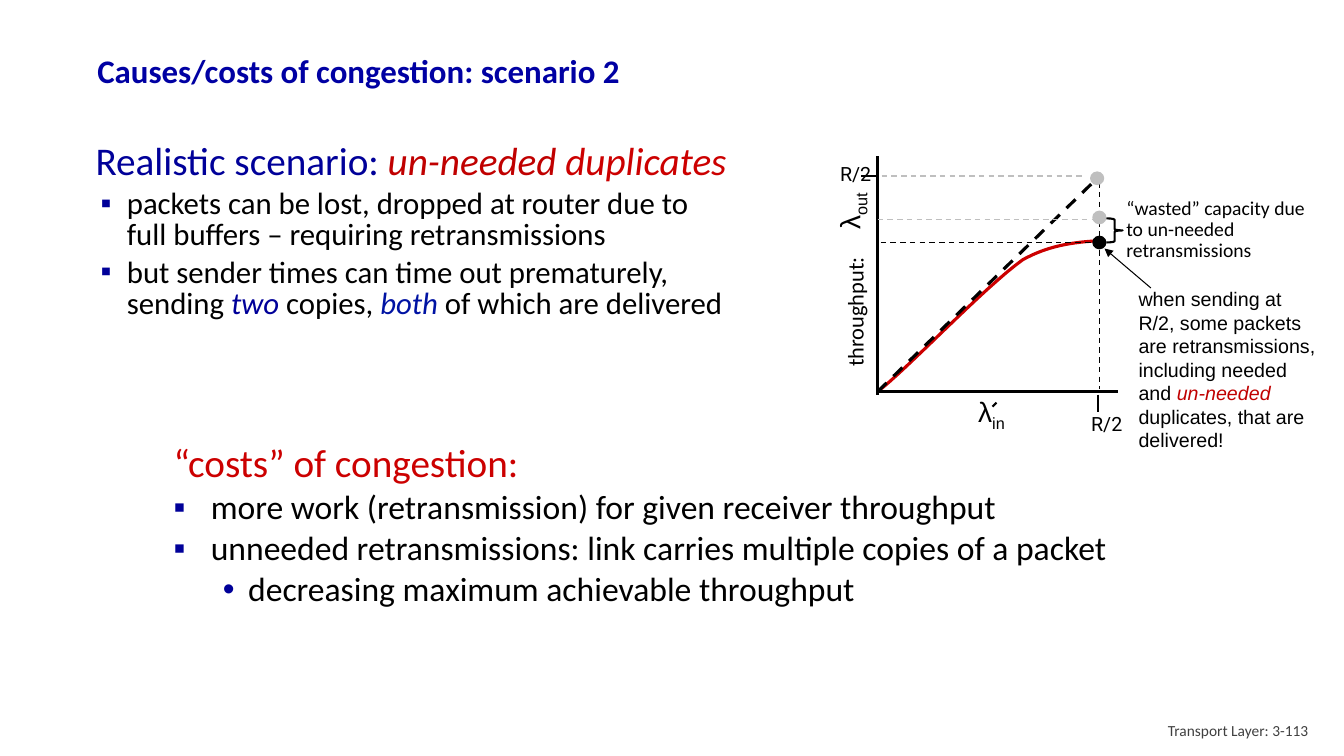
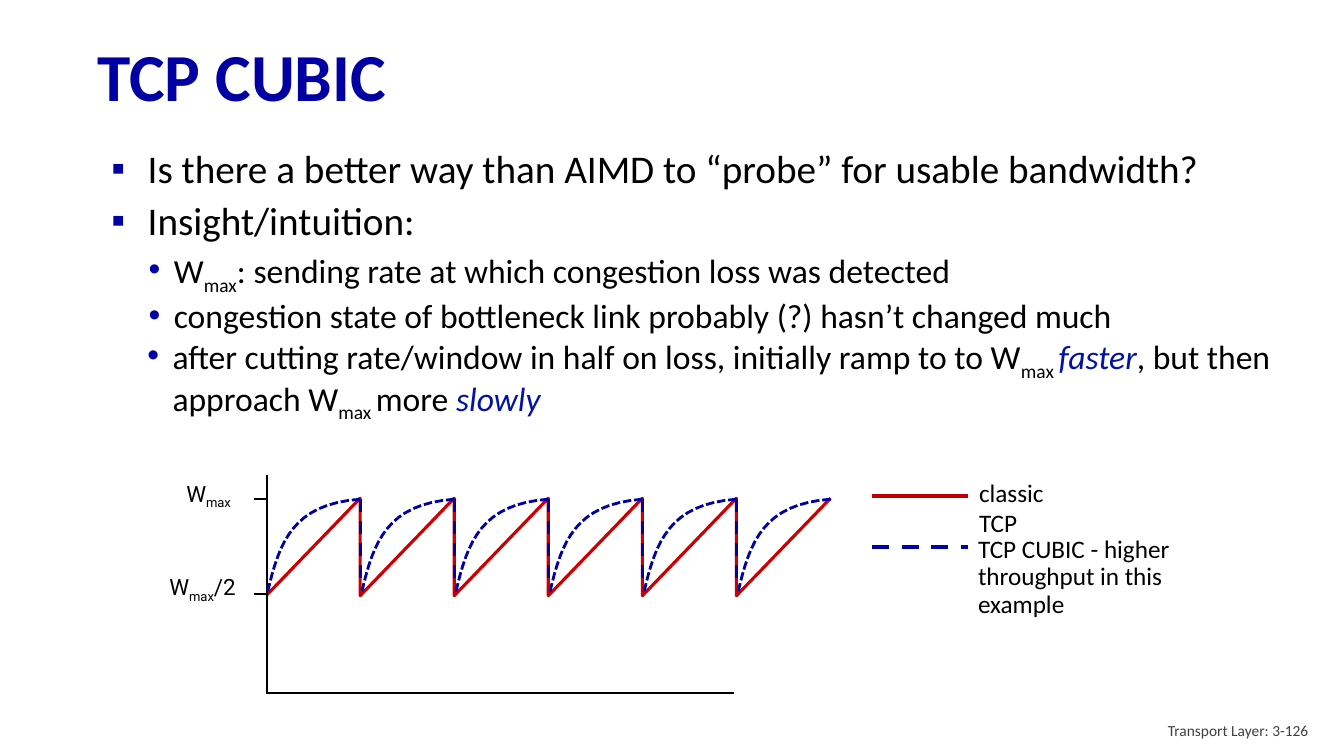
from dataclasses import dataclass

from lxml import etree
from pptx import Presentation
from pptx import util as u
from pptx.dml.color import RGBColor
from pptx.enum import dml, shapes, text
from pptx.oxml.ns import qn

TITLE_BLUE = RGBColor(0x00, 0x00, 0xA3)
HEADING_BLUE = RGBColor(0x00, 0x00, 0x99)
BULLET_BLUE = RGBColor(0x00, 0x00, 0xA8)
ACCENT_BLUE = RGBColor(0x00, 0x13, 0xA3)
RED = RGBColor(0xCC, 0x00, 0x00)
DARK_RED = RGBColor(0xC0, 0x00, 0x00)
BLACK = RGBColor(0x00, 0x00, 0x00)
GREY = RGBColor(0xBF, 0xBF, 0xBF)
FOOTER_GREY = RGBColor(0x40, 0x40, 0x40)
DASH = dml.MSO_LINE.DASH
SHORT_DASH = dml.MSO_LINE.SQUARE_DOT
SUB = {"sub": True}


@dataclass
class Box:
    """A region in inches; its portions are given in percent of its size."""
    left: float
    top: float
    width: float
    height: float

    def at(self, x, y):
        return (u.Inches(self.left + self.width * x / 100),
                u.Inches(self.top + self.height * y / 100))

    def portion(self, x, y, w, h):
        return Box(self.left + self.width * x / 100, self.top + self.height * y / 100,
                   self.width * w / 100, self.height * h / 100)

    def emu(self):
        return [u.Inches(v) for v in (self.left, self.top, self.width, self.height)]


PAGE = Box(0, 0, 13.33, 7.5)


# Text
def para(*runs, bullet=None, bullet_color=HEADING_BLUE, indent=None, level=0,
         before=0, **style):
    """A paragraph: each run is a string or a pair of string and format."""
    return dict(runs=runs, bullet=bullet, bullet_color=bullet_color, indent=indent,
                level=level, before=before, style=style)


def format_run(run, size, font="Calibri", color=BLACK, bold=False, italic=False, sub=False):
    run.font.size = u.Pt(size)
    run.font.name = font
    run.font.color.rgb = color
    run.font.bold = bold
    run.font.italic = italic
    if sub:
        run._r.get_or_add_rPr().set("baseline", "-25000")


def add_bullet(paragraph, char, color):
    props = paragraph._p.get_or_add_pPr()
    bullet_color = etree.SubElement(props, qn("a:buClr"))
    etree.SubElement(bullet_color, qn("a:srgbClr"), val=str(color))
    etree.SubElement(props, qn("a:buFont"), typeface="Arial")
    etree.SubElement(props, qn("a:buChar"), char=char)


def write(slide, box, *paras, spacing=1.0, wrap=True, grow=False, rotation=0,
          anchor=text.MSO_ANCHOR.TOP, align=text.PP_ALIGN.LEFT, **style):
    holder = slide.shapes.add_textbox(*box.emu())
    holder.rotation = rotation
    frame = holder.text_frame
    frame.word_wrap = wrap
    frame.vertical_anchor = anchor
    if grow:
        frame.auto_size = text.MSO_AUTO_SIZE.SHAPE_TO_FIT_TEXT
    for i, item in enumerate(paras):
        paragraph = frame.paragraphs[0] if i == 0 else frame.add_paragraph()
        paragraph.alignment = align
        paragraph.level = item["level"]
        paragraph.line_spacing = spacing
        paragraph.space_before = u.Pt(item["before"] if i else 0)
        if item["indent"]:
            margin, hanging = item["indent"]
            props = paragraph._p.get_or_add_pPr()
            props.set("marL", str(u.Inches(margin)))
            props.set("indent", str(u.Inches(hanging)))
        if item["bullet"]:
            add_bullet(paragraph, item["bullet"], item["bullet_color"])
        for piece in item["runs"]:
            words, extra = (piece, {}) if isinstance(piece, str) else piece
            run = paragraph.add_run()
            run.text = words
            format_run(run, **{**style, **item["style"], **extra})


# Lines and marks
def style_line(line, color, width, dash=None):
    line.color.rgb = color
    line.width = u.Pt(width)
    if dash:
        line.dash_style = dash


def draw_line(slide, box, start, end, color=BLACK, width=1.5, dash=None, arrow=False):
    line = slide.shapes.add_connector(shapes.MSO_CONNECTOR.STRAIGHT,
                                      *box.at(*start), *box.at(*end))
    style_line(line.line, color, width, dash)
    if arrow:
        etree.SubElement(line.line._get_or_add_ln(), qn("a:tailEnd"), type="triangle")
    etree.SubElement(line._element.spPr, qn("a:effectLst"))


def draw_curve(slide, box, points, color, width, dash=None):
    start, *rest = [box.at(*point) for point in points]
    builder = slide.shapes.build_freeform(*start)
    builder.add_line_segments(rest, close=False)
    curve = builder.convert_to_shape()
    curve.shadow.inherit = False
    curve.fill.background()
    style_line(curve.line, color, width, dash)


def bezier(p0, p1, p2, p3, steps=16):
    """Points along a cubic curve."""
    def blend(t, a, b, c, d):
        s = 1 - t
        return s ** 3 * a + 3 * s * s * t * b + 3 * s * t * t * c + t ** 3 * d
    return [tuple(blend(i / steps, *axis) for axis in zip(p0, p1, p2, p3))
            for i in range(steps + 1)]


def draw_dot(slide, box, x, y, color, size=6.4):
    dot = slide.shapes.add_shape(shapes.MSO_SHAPE.OVAL,
                                 *box.portion(x - size / 2, y - size / 2, size, size).emu())
    dot.shadow.inherit = False
    dot.fill.solid()
    dot.fill.fore_color.rgb = color
    dot.line.fill.background()


# Title and footer shared by the slides
def new_slide(deck, title, title_size, title_top, page):
    slide = deck.slides.add_slide(deck.slide_layouts[6])
    write(slide, PAGE.portion(6.5, title_top, 93.5, 13.1), para(title), size=title_size,
          color=TITLE_BLUE, bold=True, spacing=0.9, anchor=text.MSO_ANCHOR.MIDDLE)
    write(slide, PAGE.portion(75.6, 94, 22.5, 5.3), para(f"Transport Layer: {page}"), size=11,
          color=FOOTER_GREY, align=text.PP_ALIGN.RIGHT, anchor=text.MSO_ANCHOR.MIDDLE)
    return slide


# Slide 1: throughput against offered load
def throughput_plot(slide, box):
    """The box spans zero to R/2 on both axes."""
    def label(area, *runs, **style):
        write(slide, box.portion(*area), para(*runs), wrap=False, grow=True, **style)

    # Delivered throughput and ideal throughput
    bend = (65.5, 38.8)
    delivered = bezier((0, 100), (12.3, 90.7), (47.7, 51.9), bend)
    delivered += bezier(bend, (74, 34), (83.6, 30.8), (100, 30))[1:]
    draw_curve(slide, box, delivered, RED, 2.25)
    draw_curve(slide, box, [(0, 100), (100, 0)], BLACK, 2.25, DASH)

    # Axes and ticks
    draw_line(slide, box, (0, -9.3), (0, 101.4), width=2)
    draw_line(slide, box, (0.5, 100), (108.2, 100), width=2)
    draw_line(slide, box, (-7.3, 0), (0, 0))
    draw_line(slide, box, (99.5, 101.4), (99.5, 109.3))

    # Guides
    for start, end, color in [((100, 2.8), (100, 98.6), BLACK),
                              ((1.8, 0), (93.2, 0), GREY),
                              ((0, 20.1), (97.7, 20.1), GREY),
                              ((1.4, 30.8), (99.5, 30.8), BLACK)]:
        draw_line(slide, box, start, end, color, 1, DASH)
    for x, y, color in [(99, 1, GREY), (100, 19.2, GREY), (100, 30.8, BLACK)]:
        draw_dot(slide, box, x, y, color)

    # Axis labels, with the prime mark over lambda
    for x, y in [(-21.4, -8.9), (91.8, 107)]:
        label((x, y, 23.6, 15.4), "R/2", size=14, font="Roboto")
    label((40.9, 99.1, 21.8, 22.4), "λ", ("in", SUB), size=20, font="Arial")
    draw_line(slide, box, (51.8, 107), (53.6, 105.1))
    label((-25, 4.7, 26.4, 22.4), "λ", ("out", SUB), size=20, font="Arial", rotation=270)
    label((-40.9, 53.3, 60.9, 16.8), "throughput:", size=16, rotation=270)

    # Wasted capacity
    brace = slide.shapes.add_shape(shapes.MSO_SHAPE.RIGHT_BRACE,
                                   *box.portion(103.2, 19.6, 7.3, 11.2).emu())
    brace.shadow.inherit = False
    brace.fill.background()
    style_line(brace.line, BLACK, 1.5)
    write(slide, box.portion(107.7, 7.9, 90, 34.1),
          para("“wasted” capacity due to un-needed retransmissions"),
          size=14, spacing=0.9, grow=True)

    # Note on the operating point
    draw_line(slide, box, (123.2, 51.9), (102.3, 33.6), width=0.75, arrow=True)
    write(slide, box.portion(113.2, 49.1, 89.5, 80.8),
          para("when sending at R/2, some packets are retransmissions, including needed and ",
               ("un-needed", dict(color=DARK_RED, italic=True)),
               " duplicates, that are delivered!"),
          size=14, font="Arial", grow=True)


def congestion_slide(deck):
    slide = new_slide(deck, "Causes/costs of congestion: scenario 2", 23.5, 3.1, "3-113")
    heading = dict(indent=(0.38, -0.37), size=28)
    point = dict(bullet="▪", indent=(0.32, -0.26), before=4.4)
    cost = dict(bullet="▪", indent=(0.38, -0.37), before=4.8)

    write(slide, PAGE.portion(12.1, 58.3, 77, 31.5),
          para("“costs” of congestion:", color=RED, **heading),
          para("more work (retransmission) for given receiver throughput", **cost),
          para("unneeded retransmissions: link carries multiple copies of a packet", **cost),
          para("decreasing maximum achievable throughput", level=1,
               **{**cost, "bullet": "•", "indent": (0.75, -0.25)}),
          size=24, spacing=0.85)
    write(slide, PAGE.portion(6.3, 18.3, 48.7, 30.4),
          para("Realistic scenario: ", ("un-needed ", dict(color=DARK_RED, italic=True)),
               ("duplicates", dict(color=RED, italic=True)), color=HEADING_BLUE, **heading),
          para("packets can be lost, dropped at router due to full buffers – requiring "
               "retransmissions", **point),
          para("but sender times can time out prematurely, sending ",
               ("two ", dict(color=HEADING_BLUE, italic=True)), "copies, ",
               ("both", dict(color=ACCENT_BLUE, italic=True)),
               " of which are delivered", **point),
          size=22, spacing=0.85)
    throughput_plot(slide, PAGE.portion(65.3, 23.3, 16.5, 28.5))


# Slide 2: window size over time
def window_plot(slide, box, teeth=6):
    """The box spans all teeth, from Wmax down to Wmax/2."""
    step = 100 / teeth
    sawtooth = [(0, 100)]
    for i in range(1, teeth + 1):
        sawtooth += [(i * step, 0), (i * step, 100)]
    draw_curve(slide, box, sawtooth[:-1], RED, 2.25)

    # Axes, ticks and labels
    for start, end in [((0, 200), (82.9, 200)), ((0.1, -24), (0.1, 201)),
                       ((-2.1, 0.7), (0, 0.7)), ((-2.1, 98), (0, 98))]:
        draw_line(slide, box, start, end)
    for area, runs in [((-15.9, -24.1, 12.5, 41.3), ["W", ("max", SUB)]),
                       ((-18.9, 72, 16.3, 41.3), ["W", ("max", SUB), "/2"])]:
        write(slide, box.portion(*area), para(*runs), size=16, font="Roboto",
              wrap=False, grow=True)

    # One ramp and one drop for each tooth; the last has no drop
    ramp = bezier((100, 1), (29, 6), (14, 44), (1.5, 97))
    for i in range(teeth):
        tooth = box.portion(i * step, 0, step, 100)
        draw_curve(slide, tooth, ramp, TITLE_BLUE, 2, SHORT_DASH)
        if i < teeth - 1:
            draw_line(slide, tooth, (100, 1), (100, 91), TITLE_BLUE, 2.25, DASH)


def legend(slide, box):
    draw_line(slide, box, (0, 15.3), (28.4, 15.3), DARK_RED, 3)
    draw_line(slide, box, (0, 49.3), (28.4, 49.3), TITLE_BLUE, 3, DASH)
    write(slide, box.portion(28.7, 0, 38, 26.7), para("classic TCP"), size=18)
    write(slide, box.portion(28.4, 39.3, 71.6, 60.7),
          para("TCP CUBIC - higher throughput in this example"),
          size=18, spacing=0.9, grow=True)


def cubic_slide(deck):
    slide = new_slide(deck, "TCP CUBIC", 48, 4, "3-126")
    main_point = dict(bullet="▪", bullet_color=TITLE_BLUE, indent=(0.5, -0.36), size=28)
    detail = dict(bullet="•", bullet_color=BULLET_BLUE, indent=(0.76, -0.25), level=1,
                  before=5, size=24)
    accent = dict(color=ACCENT_BLUE, italic=True)

    for area, paras in [
        ((6.5, 19.1, 91.6, 7), [
            para("Is there a better way than AIMD to “probe” for usable bandwidth?",
                 **main_point)]),
        ((6.5, 26, 91.6, 18), [
            para("Insight/intuition:", **main_point),
            para("W", ("max", SUB), ": sending rate at which congestion loss was detected",
                 **detail),
            para("congestion state of bottleneck link probably (?) hasn’t changed much",
                 **detail)]),
        ((6.4, 43.9, 91.6, 13.1), [
            para("after cutting rate/window in half on loss, initially ramp to to W",
                 ("max ", SUB), ("faster", accent), ", but then approach W",
                 ("max ", SUB), "more ", ("slowly", accent), **detail)]),
    ]:
        write(slide, PAGE.portion(*area), *paras, spacing=0.9)
    window_plot(slide, PAGE.portion(19.8, 65.9, 42, 12.9))
    legend(slide, PAGE.portion(64.9, 62.5, 25.1, 20))


def main():
    deck = Presentation()
    deck.slide_width = u.Inches(PAGE.width)
    deck.slide_height = u.Inches(PAGE.height)
    congestion_slide(deck)
    cubic_slide(deck)
    deck.save("out.pptx")


if __name__ == "__main__":
    main()
